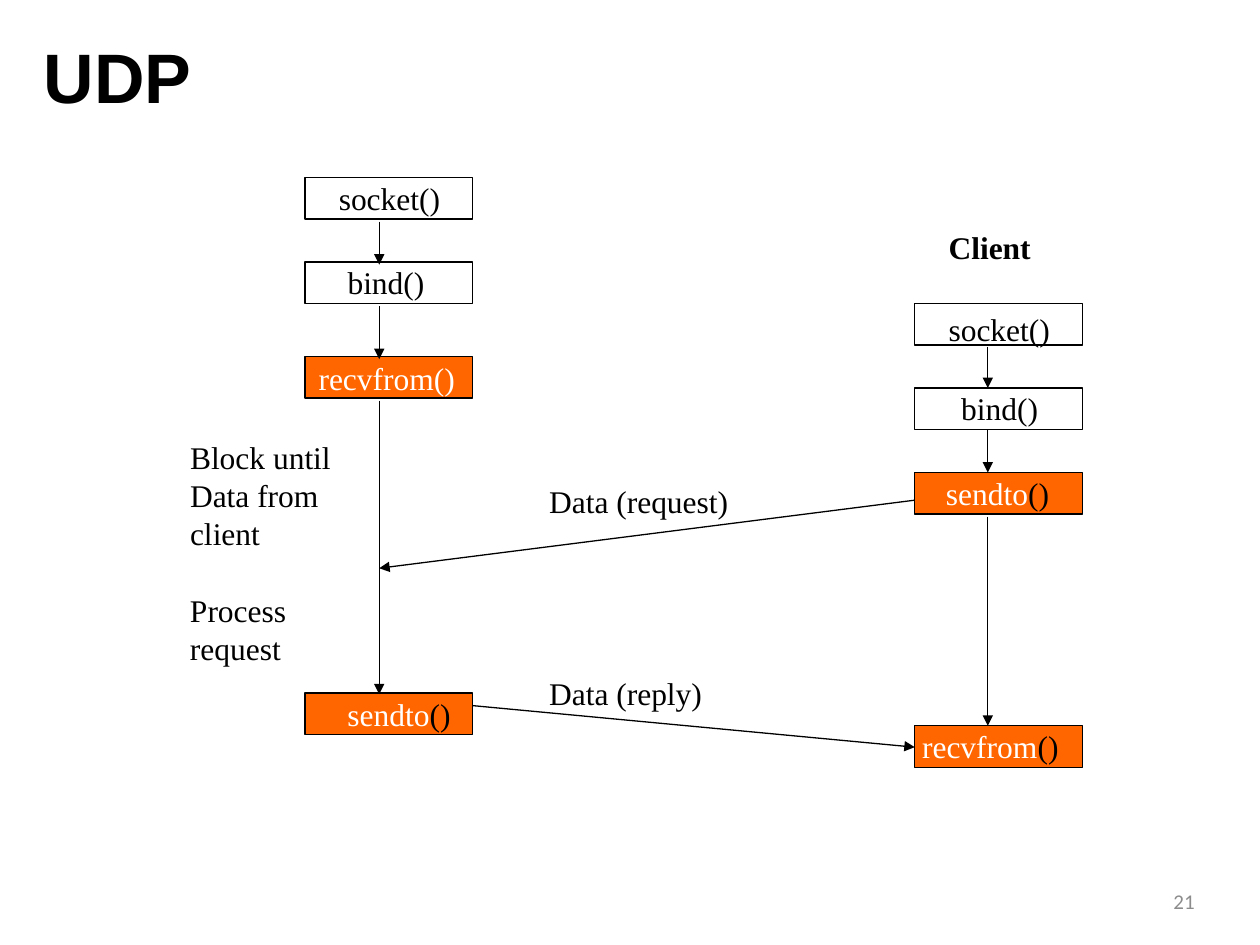
"""Build a slide showing the UDP call sequence of a server and a client."""
from lxml import etree
from pptx import Presentation
from pptx.dml.color import RGBColor
from pptx.enum.shapes import MSO_CONNECTOR, MSO_SHAPE
from pptx.enum.text import MSO_ANCHOR, MSO_AUTO_SIZE, PP_ALIGN
from pptx.oxml.ns import qn
from pptx.util import Inches, Pt

BLACK = RGBColor(0x00, 0x00, 0x00)
WHITE = RGBColor(0xFF, 0xFF, 0xFF)
GRAY = RGBColor(0x8C, 0x8C, 0x8C)
ORANGE = RGBColor(0xFF, 0x66, 0x00)
RECTANGLE = MSO_SHAPE.RECTANGLE
STRAIGHT = MSO_CONNECTOR.STRAIGHT
MIDDLE = MSO_ANCHOR.MIDDLE
TOP = MSO_ANCHOR.TOP
GROW = MSO_AUTO_SIZE.SHAPE_TO_FIT_TEXT
FIXED = MSO_AUTO_SIZE.NONE
LEFT = PP_ALIGN.LEFT
RIGHT = PP_ALIGN.RIGHT

SERIF = "Times New Roman"
LINE_WIDTH = Pt(0.74)
BOX_WIDTH, BOX_HEIGHT = 1.33, 0.33
SERVER_LEFT, CLIENT_LEFT = 2.42, 7.26
SERVER_AXIS, CLIENT_AXIS = 3.01, 7.84

CALLS = [
    (SERVER_LEFT, 1.41, None, (2.59, 1.37, 1.01), [("socket()", BLACK)]),
    (SERVER_LEFT, 2.08, None, (2.66, 2.04, 0.81), [("bind()", BLACK)]),
    (SERVER_LEFT, 2.83, ORANGE, (2.43, 2.8, 1.31), [("recvfrom()", WHITE)]),
    (SERVER_LEFT, 5.5, ORANGE, (2.66, 5.47, 1.04), [("sendto", WHITE), ("()", BLACK)]),
    (CLIENT_LEFT, 2.41, None, (7.43, 2.41, 1.01), [("socket()", BLACK)]),
    (CLIENT_LEFT, 3.08, None, (7.53, 3.04, 0.81), [("bind()", BLACK)]),
    (CLIENT_LEFT, 3.75, ORANGE, (7.41, 3.71, 1.04), [("sendto", WHITE), ("()", BLACK)]),
    (CLIENT_LEFT, 5.76, ORANGE, (7.22, 5.72, 1.31), [("recvfrom", WHITE), ("()", BLACK)]),
]
STEPS = [
    (SERVER_AXIS, 1.76, 2.1),
    (SERVER_AXIS, 2.43, 2.85),
    (SERVER_AXIS, 3.18, 5.51),
    (CLIENT_AXIS, 2.75, 3.08),
    (CLIENT_AXIS, 3.41, 3.75),
    (CLIENT_AXIS, 4.1, 5.76),
]
NOTES = [
    (1.41, 3.43, 1.32, 1.0, ["Block until", "Data from ", "client"]),
    (1.41, 4.64, 0.97, 0.7, ["Process", "request"]),
    (4.26, 3.78, 1.62, 0.4, ["Data (request)"]),
    (4.26, 5.3, 1.42, 0.4, ["Data (reply)"]),
]


def add_text(slide, left, top, width, height, lines, size=18, font=SERIF,
             bold=False, wrap=False, anchor=TOP, align=LEFT, spacing=None):
    """Add a text box whose lines are lists of (text, colour) runs."""
    frame = slide.shapes.add_textbox(
        Inches(left), Inches(top), Inches(width), Inches(height)).text_frame
    frame.word_wrap = wrap
    frame.auto_size = FIXED if wrap else GROW
    frame.vertical_anchor = anchor
    for index, pieces in enumerate(lines):
        paragraph = frame.add_paragraph() if index else frame.paragraphs[0]
        paragraph.alignment = align
        paragraph.line_spacing = spacing
        for text, colour in pieces:
            run = paragraph.add_run()
            run.text = text
            run.font.name = font
            run.font.size = Pt(size)
            run.font.bold = bold
            run.font.color.rgb = colour


def add_box(slide, left, top, fill):
    """Add the outlined box of one call."""
    box = slide.shapes.add_shape(RECTANGLE, Inches(left), Inches(top),
                                 Inches(BOX_WIDTH), Inches(BOX_HEIGHT))
    box.shadow.inherit = False
    box.line.color.rgb = BLACK
    box.line.width = LINE_WIDTH
    if fill is None:
        box.fill.background()
    else:
        box.fill.solid()
        box.fill.fore_color.rgb = fill


def add_arrow(slide, start_x, start_y, end_x, end_y):
    """Add a straight line with a triangle at its end."""
    arrow = slide.shapes.add_connector(STRAIGHT, Inches(start_x), Inches(start_y),
                                       Inches(end_x), Inches(end_y))
    arrow.line.color.rgb = BLACK
    arrow.line.width = LINE_WIDTH
    etree.SubElement(arrow.line._get_or_add_ln(), qn("a:tailEnd"), type="triangle")
    etree.SubElement(arrow._element.spPr, qn("a:effectLst"))


def main():
    """Build and save the slide."""
    deck = Presentation()
    deck.slide_width, deck.slide_height = Inches(10), Inches(7.5)
    slide = deck.slides.add_slide(deck.slide_layouts[6])

    add_text(slide, 0.25, 0.13, 9.33, 1.03, [[("UDP", BLACK)]], size=40, font="Arial",
             bold=True, wrap=True, anchor=MIDDLE, spacing=0.9)
    add_text(slide, 7.06, 6.95, 2.52, 0.4, [[("21", GRAY)]], size=12, font="Calibri",
             wrap=True, anchor=MIDDLE, align=RIGHT)
    add_text(slide, 7.43, 1.76, 0.85, 0.4, [[("Client", BLACK)]], bold=True)

    for left, top, fill, label, pieces in CALLS:
        add_box(slide, left, top, fill)
        add_text(slide, *label, 0.4, [pieces])
    for axis, start, end in STEPS:
        add_arrow(slide, axis, start, axis, end)
    add_arrow(slide, CLIENT_LEFT, 3.97, SERVER_AXIS, 4.51)
    add_arrow(slide, SERVER_LEFT + BOX_WIDTH, 5.6, CLIENT_LEFT, 5.93)
    for left, top, width, height, lines in NOTES:
        add_text(slide, left, top, width, height, [[(line, BLACK)] for line in lines])

    deck.save("out.pptx")


main()
